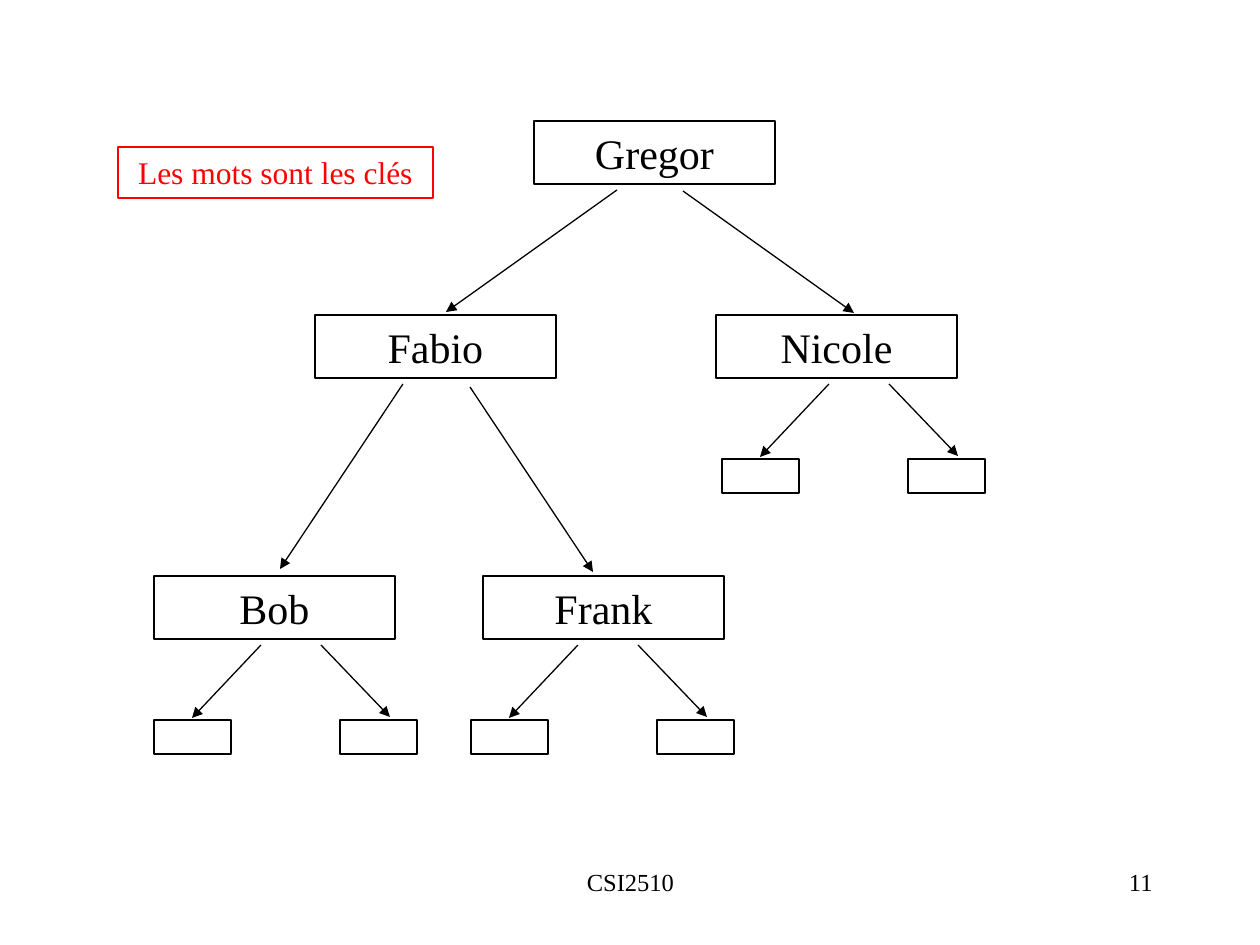
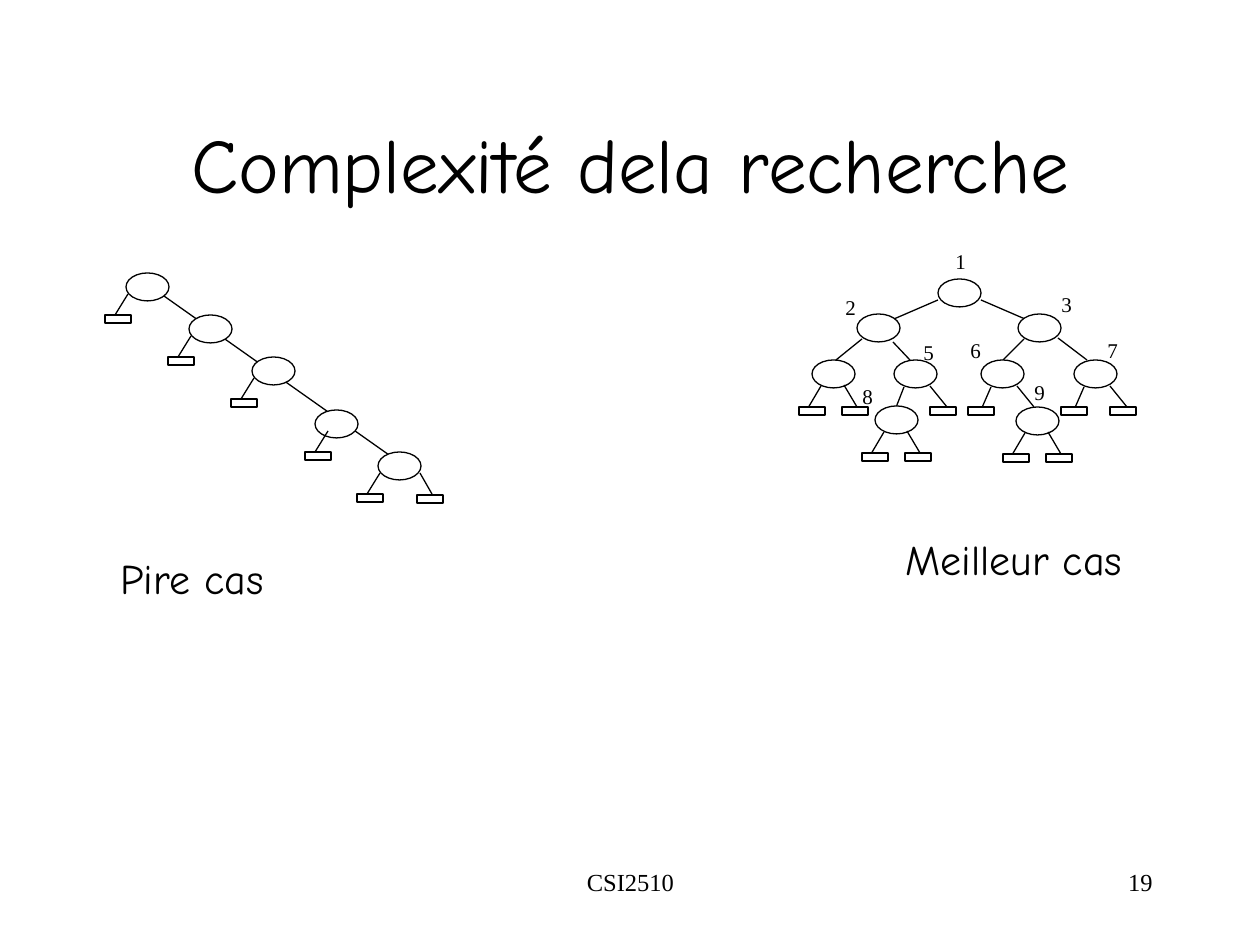
"""Build two slides on binary search trees."""
import pptx
import pptx.dml.color
import pptx.enum.shapes
import pptx.enum.text
import pptx.oxml
import pptx.oxml.ns
import pptx.util

BLACK = pptx.dml.color.RGBColor(0, 0, 0)
WHITE = pptx.dml.color.RGBColor(255, 255, 255)
RED = pptx.dml.color.RGBColor(255, 0, 0)
SERIF = "Times New Roman"
COMIC = "Comic Neue"
ALIGN = pptx.enum.text.PP_ALIGN
ANCHOR = pptx.enum.text.MSO_ANCHOR
RECTANGLE = pptx.enum.shapes.MSO_SHAPE.RECTANGLE
OVAL = pptx.enum.shapes.MSO_SHAPE.OVAL
PX_PER_INCH = 126
KEY_SIZE = (241, 63)
EMPTY_SIZE = (77, 34)
NODE_SIZE = (43, 28)
LEAF_SIZE = (26, 8)


def px(length):
    """Turn pixels into EMU."""
    return pptx.util.Emu(round(length * 914400 / PX_PER_INCH))


def shift(origin, offset):
    """Move a point by an offset."""
    return origin[0] + offset[0], origin[1] + offset[1]


def write(box, text, points=24, font=SERIF, color=BLACK, align=ALIGN.LEFT,
          anchor=ANCHOR.TOP, wrap=True):
    """Put one formatted paragraph into a box."""
    frame = box.text_frame
    frame.word_wrap = wrap
    frame.vertical_anchor = anchor
    para = frame.paragraphs[0]
    para.alignment = align
    span = para.add_run()
    span.text = text
    span.font.size = pptx.util.Pt(points)
    span.font.name = font
    span.font.color.rgb = color


def add_label(shapes, at, size, text, **style):
    """Add a text box."""
    box = shapes.add_textbox(*map(px, (*at, *size)))
    write(box, text, **style)


def add_outline(shapes, kind, at, size, color=BLACK):
    """Add a white shape with a thin outline."""
    shape = shapes.add_shape(kind, *map(px, (*at, *size)))
    shape.shadow.inherit = False
    shape.fill.solid()
    shape.fill.fore_color.rgb = WHITE
    shape.line.color.rgb = color
    shape.line.width = pptx.util.Pt(0.75)
    return shape


def add_edge(shapes, origin, start, end, arrow=False):
    """Join two points given relative to an origin."""
    ends = (*shift(origin, start), *shift(origin, end))
    edge = shapes.add_connector(
        pptx.enum.shapes.MSO_CONNECTOR.STRAIGHT, *map(px, ends))
    edge.line.color.rgb = BLACK
    edge.line.width = pptx.util.Pt(0.75)
    properties = edge.line._get_or_add_ln()
    if arrow:
        head = pptx.oxml.ns.qn("a:tailEnd")
        properties.append(properties.makeelement(head, {"type": "triangle"}))
    effects = pptx.oxml.ns.qn("a:effectLst")
    properties.addnext(properties.makeelement(effects, {}))


def add_footer(page, number):
    """Add the course code and the page number."""
    add_label(page.shapes, (431, 861), (399, 63), "CSI2510", points=14,
              align=ALIGN.CENTER)
    add_label(page.shapes, (903, 861), (262, 63), number, points=14,
              align=ALIGN.RIGHT)


def add_empty_children(shapes, at):
    """Draw two empty boxes and the arrows that reach them from above."""
    add_edge(shapes, at, (107, -75), (38, -2), arrow=True)
    add_edge(shapes, at, (167, -75), (236, -3), arrow=True)
    for left in (0, 186):
        add_outline(shapes, RECTANGLE, shift(at, (left, 0)), EMPTY_SIZE)


def add_key_tree(shapes, at):
    """Draw the tree whose keys are names."""
    keys = {"Gregor": (380, 0), "Fabio": (161, 194), "Nicole": (562, 194),
            "Bob": (0, 455), "Frank": (329, 455)}
    branches = [((463, 69), (292, 191)), ((529, 70), (700, 192)),
                ((249, 263), (126, 448)), ((316, 266), (439, 451))]
    for name, place in keys.items():
        box = add_outline(shapes, RECTANGLE, shift(at, place), KEY_SIZE)
        write(box, name, align=ALIGN.CENTER)
    for start, end in branches:
        add_edge(shapes, at, start, end, arrow=True)
    for place in ((568, 338), (0, 599), (317, 599)):
        add_empty_children(shapes, shift(at, place))


def add_leaf(shapes, node, start, end, leaf):
    """Hang a leaf from a node, with lengths relative to the node."""
    add_edge(shapes, node, start, end)
    add_outline(shapes, RECTANGLE, shift(node, leaf), LEAF_SIZE)


def add_worst_tree(shapes, at):
    """Draw the tree that is a chain of right children."""
    nodes = [shift(at, (63 * step, 42 * step + (11 if step > 2 else 0)))
             for step in range(5)]
    add_edge(shapes, at, (21, 11), (273, 189))
    for node in nodes:
        add_outline(shapes, OVAL, node, NODE_SIZE)
    for index, node in enumerate(nodes):
        inset = 11 if index == 3 else 0
        add_leaf(shapes, node, (2 + inset, 21), (inset - 11, 42),
                 (inset - 21, 42))
    add_leaf(shapes, nodes[-1], (42, 21), (54, 42), (39, 43))


def add_best_tree(shapes, at):
    """Draw the balanced tree with its numbered nodes."""
    nodes = [(140, 37), (59, 72), (220, 72), (14, 118), (96, 118),
             (183, 118), (276, 118), (77, 164), (218, 165)]
    branches = [((140, 58), (96, 77)), ((183, 58), (227, 77)),
                ((64, 97), (38, 118)), ((95, 100), (112, 118)),
                ((226, 97), (205, 118)), ((260, 96), (289, 118)),
                ((106, 145), (97, 168)), ((219, 144), (236, 165))]
    labels = {"1": (145, 0), "2": (35, 46), "3": (251, 43), "5": (113, 91),
              "6": (160, 89), "7": (297, 89), "8": (52, 135), "9": (224, 131)}
    for start, end in branches:
        add_edge(shapes, at, start, end)
    for place in nodes:
        add_outline(shapes, OVAL, shift(at, place), NODE_SIZE)
    for index in (3, 7, 8):
        node = shift(at, nodes[index])
        add_leaf(shapes, node, (9, 26), (-4, 48), (-13, 47))
        add_leaf(shapes, node, (32, 25), (45, 47), (30, 47))
    for index in (5, 6):
        add_leaf(shapes, shift(at, nodes[index]), (10, 27), (0, 50), (-13, 47))
    for index in (4, 6):
        add_leaf(shapes, shift(at, nodes[index]), (36, 26), (53, 47), (36, 47))
    for text, place in labels.items():
        add_label(shapes, shift(at, place), (51, 38), text, points=12)


def build_key_slide(page):
    """Build the slide on a tree of words."""
    add_footer(page, "11")
    add_key_tree(page.shapes, (154, 121))
    note = add_outline(page.shapes, RECTANGLE, (118, 147), (315, 51), RED)
    write(note, "Les mots sont les clés", points=18, color=RED,
          align=ALIGN.CENTER)


def build_search_slide(page):
    """Build the slide on the cost of a search."""
    add_label(page.shapes, (95, 84), (1071, 158), "Complexité dela recherche",
              points=44, font=COMIC, align=ALIGN.CENTER, anchor=ANCHOR.MIDDLE)
    add_footer(page, "19")
    add_best_tree(page.shapes.add_group_shape().shapes, (798, 242))
    add_worst_tree(page.shapes.add_group_shape().shapes, (126, 273))
    add_label(page.shapes, (108, 546), (169, 63), "Pire cas", font=COMIC,
              wrap=False)
    add_label(page.shapes, (893, 527), (242, 63), "Meilleur cas", font=COMIC,
              wrap=False)


def main():
    """Build and save the deck."""
    deck = pptx.Presentation()
    deck.slide_width = px(1260)
    deck.slide_height = px(945)
    for build in (build_key_slide, build_search_slide):
        build(deck.slides.add_slide(deck.slide_layouts[6]))
    deck.save("out.pptx")


if __name__ == "__main__":
    main()
